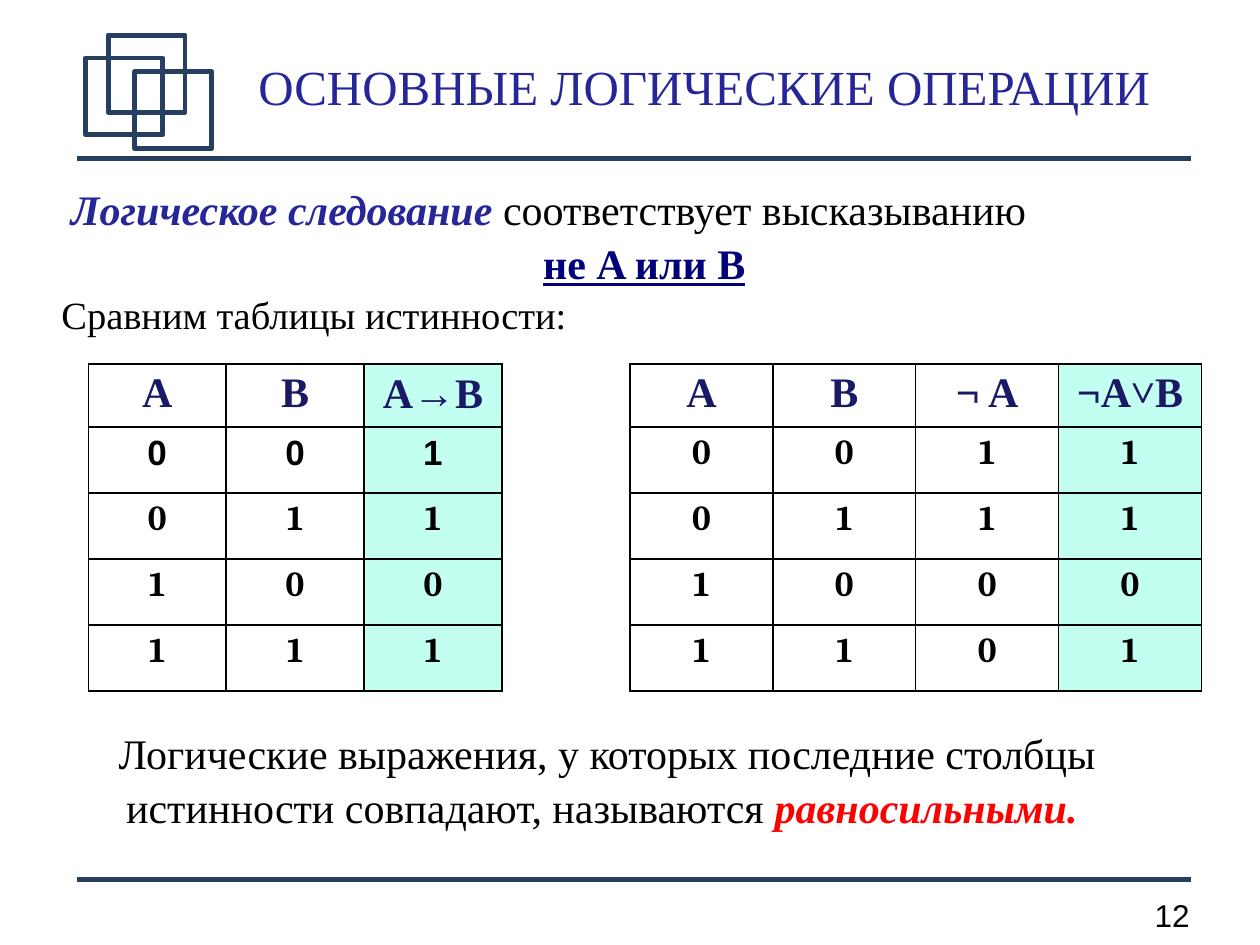
from lxml.etree import SubElement
from pptx import Presentation
from pptx.dml.color import RGBColor
from pptx.enum.shapes import MSO_CONNECTOR, MSO_SHAPE
from pptx.enum.text import MSO_ANCHOR, PP_ALIGN
from pptx.oxml.ns import qn
from pptx.util import Cm, Pt

BLACK = RGBColor(0x00, 0x00, 0x00)
WHITE = RGBColor(0xFF, 0xFF, 0xFF)
RED = RGBColor(0xFF, 0x00, 0x00)
STEEL = RGBColor(0x26, 0x3E, 0x60)
INDIGO = RGBColor(0x26, 0x26, 0x99)
NAVY = RGBColor(0x00, 0x00, 0x7A)
HEADER = RGBColor(0x19, 0x19, 0x66)
MINT = RGBColor(0xC2, 0xFF, 0xF0)

SERIF, SANS, DIGITS = "Times New Roman", "Arial", "Cambria"

IMPLICATION = [["A", "B", "A→B"], "001", "011", "100", "111"]
DISJUNCTION = [["A", "B", "¬ A", "¬A˅B"], "0011", "0111", "1000", "1101"]


def set_font(font, size, color, name=SERIF, bold=None, italic=None):
    """Format the font of a paragraph or a run."""
    font.size, font.name, font.color.rgb = Pt(size), name, color
    font.bold, font.italic = bold, italic


def add_rule(slide, top):
    """Draw a horizontal rule across the slide."""
    rule = slide.shapes.add_connector(
        MSO_CONNECTOR.STRAIGHT, Cm(1.55), Cm(top), Cm(24), Cm(top))
    rule.line.color.rgb, rule.line.width = STEEL, Pt(2.83)
    SubElement(rule._element.spPr, qn("a:effectLst"))


def add_emblem_square(slide, left, top):
    """Draw one outlined square of the emblem."""
    square = slide.shapes.add_shape(
        MSO_SHAPE.ROUNDED_RECTANGLE, Cm(left), Cm(top), Cm(1.55), Cm(1.55))
    square.adjustments[0] = 0
    square.shadow.inherit = False
    square.fill.background()
    square.line.color.rgb, square.line.width = STEEL, Pt(2.83)


def add_text(slide, left, top, width, height):
    """Add a wrapping text box and return its text frame."""
    frame = slide.shapes.add_textbox(
        Cm(left), Cm(top), Cm(width), Cm(height)).text_frame
    frame.word_wrap = True
    return frame


def add_run(paragraph, text, color):
    """Append a coloured run and return its font."""
    run = paragraph.add_run()
    run.text = text
    run.font.color.rgb = color
    return run.font


def add_border(cell):
    """Give a cell thin black borders on all sides."""
    properties = cell._tc.get_or_add_tcPr()
    for position, side in enumerate(("lnL", "lnR", "lnT", "lnB")):
        border = properties.makeelement(qn(f"a:{side}"), {"w": str(Pt(1))})
        fill = SubElement(border, qn("a:solidFill"))
        SubElement(fill, qn("a:srgbClr"), val=str(BLACK))
        properties.insert(position, border)


def add_truth_table(slide, rows, left, column_width, first_row_font):
    """Add a truth table whose last column is highlighted."""
    count = len(rows[0])
    table = slide.shapes.add_table(
        len(rows), count, Cm(left), Cm(7.34),
        Cm(column_width * count), Cm(6.58)).table
    for column in table.columns:
        column.width = Cm(column_width)
    for r, values in enumerate(rows):
        table.rows[r].height = Cm(1.33 if r else 1.26)
        for c, value in enumerate(values):
            cell = table.cell(r, c)
            cell.fill.solid()
            cell.fill.fore_color.rgb = MINT if c == count - 1 else WHITE
            add_border(cell)
            paragraph = cell.text_frame.paragraphs[0]
            paragraph.alignment = PP_ALIGN.CENTER
            if r == 0:
                set_font(paragraph.font, 24, HEADER, bold=True)
                add_header(paragraph, value)
            else:
                name = first_row_font if r == 1 else DIGITS
                paragraph.text = value
                set_font(paragraph.font, 20, BLACK, name, bold=True)


def add_header(paragraph, formula):
    """Write a formula, setting its arrow in the plain sans font."""
    left, arrow, right = formula.partition("→")
    for part in filter(None, (left, arrow, right)):
        font = add_run(paragraph, part, HEADER)
        if part == arrow:
            font.name, font.bold = SANS, False


def add_title(slide):
    """Place and format the title."""
    title = slide.shapes.title
    title.left, title.top, title.width, title.height = (
        Cm(4.57), Cm(1.19), Cm(19.25), Cm(1.19))
    title.text_frame.text = "ОСНОВНЫЕ ЛОГИЧЕСКИЕ ОПЕРАЦИИ"
    title.text_frame.vertical_anchor = MSO_ANCHOR.MIDDLE
    paragraph = title.text_frame.paragraphs[0]
    paragraph.alignment, paragraph.line_spacing = PP_ALIGN.CENTER, 0.98
    set_font(paragraph.font, 28, INDIGO)


def add_statement(slide):
    """Add the statement above the tables."""
    frame = add_text(slide, 0.99, 3.51, 24, 14)
    statement = frame.paragraphs[0]
    equivalent, comparison = frame.add_paragraph(), frame.add_paragraph()
    for paragraph in frame.paragraphs:
        paragraph.line_spacing = 1.07

    statement.alignment = PP_ALIGN.JUSTIFY
    statement._p.get_or_add_pPr().set("indent", str(Cm(0.19)))
    set_font(statement.font, 24, BLACK)
    term = add_run(statement, "Логическое следование ", INDIGO)
    term.bold = term.italic = True
    add_run(statement, "соответствует высказыванию", BLACK)

    equivalent.text = "не A или B"
    equivalent.alignment = PP_ALIGN.CENTER
    set_font(equivalent.font, 24, NAVY, bold=True)
    equivalent.font.underline = True

    comparison.text = "Сравним таблицы истинности:"
    set_font(comparison.font, 22, BLACK)


def add_conclusion(slide):
    """Add the conclusion below the tables."""
    conclusion = add_text(slide, 0.99, 14.48, 22.5, 3).paragraphs[0]
    conclusion.alignment, conclusion.line_spacing = PP_ALIGN.CENTER, 1.07
    set_font(conclusion.font, 24, BLACK)
    add_run(conclusion, "Логические выражения, у которых последние столбцы "
            "истинности совпадают, называются ", BLACK)
    term = add_run(conclusion, "равносильными. ", RED)
    term.bold = term.italic = True


def add_slide_number(slide):
    """Add the slide number."""
    number = add_text(slide, 21.46, 17.93, 2.77, 1.02).paragraphs[0]
    number.text = "12"
    number.alignment = PP_ALIGN.RIGHT
    set_font(number.font, 18, BLACK, SANS)


def main():
    """Build the slide and save it."""
    presentation = Presentation()
    presentation.slide_width, presentation.slide_height = Cm(25.4), Cm(19.05)
    slide = presentation.slides.add_slide(presentation.slide_layouts[5])
    for top in (17.73, 3.2):
        add_rule(slide, top)
    add_slide_number(slide)
    for left, top in ((1.73, 1.17), (2.18, 0.71), (2.72, 1.45)):
        add_emblem_square(slide, left, top)
    add_title(slide)
    add_statement(slide)
    add_conclusion(slide)
    add_truth_table(slide, IMPLICATION, 1.78, 2.78, SANS)
    add_truth_table(slide, DISJUNCTION, 12.7, 2.88, DIGITS)
    presentation.save("out.pptx")


if __name__ == "__main__":
    main()
